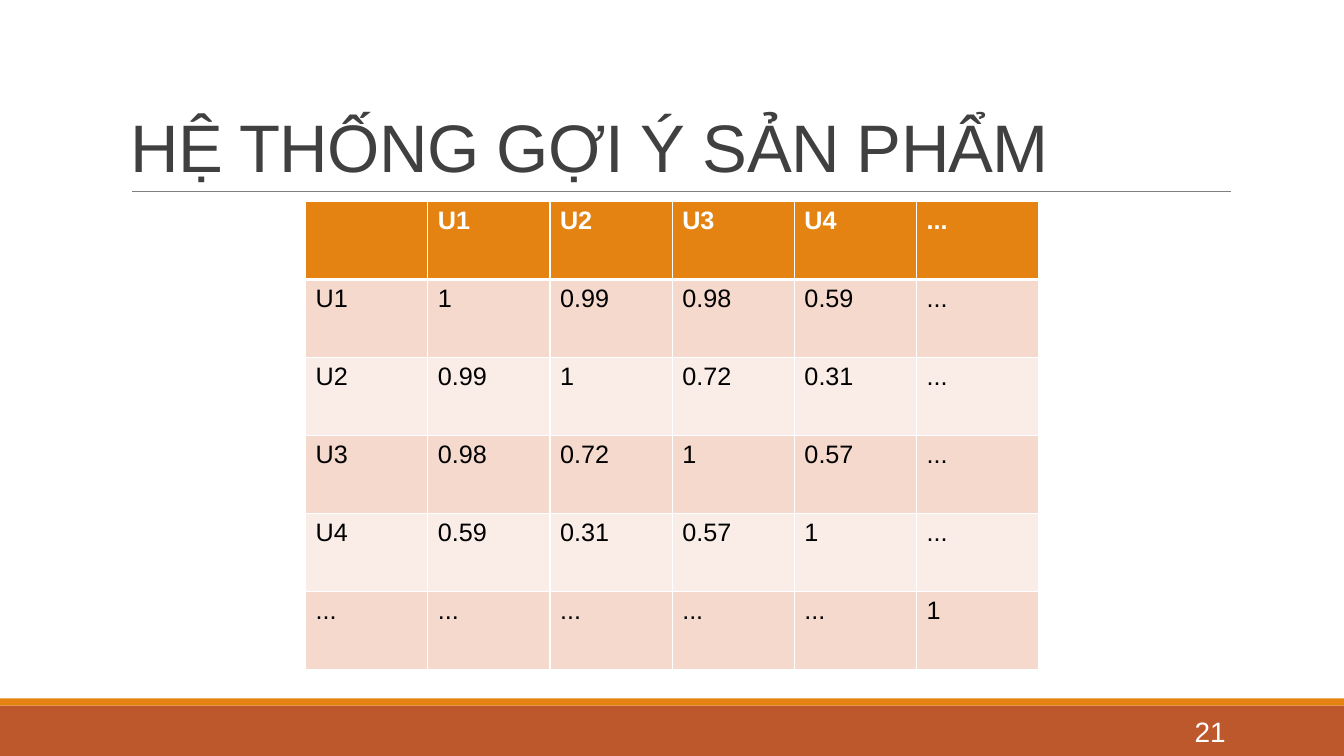
from lxml import etree
from pptx import Presentation
from pptx.dml.color import RGBColor
from pptx.enum.shapes import MSO_CONNECTOR, MSO_SHAPE
from pptx.enum.text import MSO_ANCHOR, PP_ALIGN
from pptx.oxml.ns import qn
from pptx.util import Cm, Pt

RECT = MSO_SHAPE.RECTANGLE
STRAIGHT = MSO_CONNECTOR.STRAIGHT
BOTTOM, MIDDLE = MSO_ANCHOR.BOTTOM, MSO_ANCHOR.MIDDLE
LEFT, RIGHT = PP_ALIGN.LEFT, PP_ALIGN.RIGHT

COLORS = {
    "rust": "BD582C",
    "orange": "E48312",
    "rule": "808080",
    "title": "404040",
    "white": "FFFFFF",
    "black": "000000",
    "dark_band": "F5D9CC",
    "light_band": "FAEDE7",
}

USERS = ["U1", "U2", "U3", "U4", "..."]
SIMILARITY = [
    ["1", "0.99", "0.98", "0.59", "..."],
    ["0.99", "1", "0.72", "0.31", "..."],
    ["0.98", "0.72", "1", "0.57", "..."],
    ["0.59", "0.31", "0.57", "1", "..."],
    ["...", "...", "...", "...", "1"],
]


class SlideBuilder:
    """Draws styled elements on the current slide."""

    font = "Arial"

    def __init__(self, slide):
        self.s = slide

    def color(self, name):
        return RGBColor.from_string(COLORS[name])

    def style(self, p, size, color, bold=False):
        p.font.name = self.font
        p.font.size = Pt(size)
        p.font.bold = bold
        p.font.color.rgb = self.color(color)

    def bar(self, x, y, w, h, color):
        sp = self.s.shapes.add_shape(RECT, Cm(x), Cm(y), Cm(w), Cm(h))
        sp.shadow.inherit = False
        sp.fill.solid()
        sp.fill.fore_color.rgb = self.color(color)
        sp.line.fill.background()

    def rule(self, x1, x2, y, color, width):
        sp = self.s.shapes.add_connector(STRAIGHT, Cm(x1), Cm(y), Cm(x2), Cm(y))
        sp.line.color.rgb = self.color(color)
        sp.line.width = Pt(width)
        etree.SubElement(sp._element.spPr, qn("a:effectLst"))

    def text(self, x, y, w, h, text, size, color, anchor, align=LEFT, spacing=1.0, tracking=0):
        tf = self.s.shapes.add_textbox(Cm(x), Cm(y), Cm(w), Cm(h)).text_frame
        tf.word_wrap = True
        tf.vertical_anchor = anchor
        p = tf.paragraphs[0]
        p.alignment = align
        p.line_spacing = spacing
        r = p.add_run()
        r.text = text
        self.style(p, size, color)
        if tracking:
            r._r.get_or_add_rPr().set("spc", str(round(tracking * 100)))

    def borders(self, cell, bottom):
        tcPr = cell._tc.get_or_add_tcPr()
        for i, (side, width) in enumerate((("L", 1), ("R", 1), ("T", 1), ("B", bottom))):
            ln = etree.Element(qn(f"a:ln{side}"), w=str(Pt(width)))
            fill = etree.SubElement(ln, qn("a:solidFill"))
            etree.SubElement(fill, qn("a:srgbClr"), val=COLORS["white"])
            tcPr.insert(i, ln)

    def table(self, x, y, w, h, rows):
        shape = self.s.shapes.add_table(len(rows), len(rows[0]), Cm(x), Cm(y), Cm(w), Cm(h))
        for i, row in enumerate(rows):
            header = i == 0
            band = "orange" if header else "dark_band" if i % 2 else "light_band"
            for j, value in enumerate(row):
                cell = shape.table.cell(i, j)
                cell.text = value
                cell.fill.solid()
                cell.fill.fore_color.rgb = self.color(band)
                self.style(cell.text_frame.paragraphs[0], 18, "white" if header else "black", header)
                self.borders(cell, 3 if header else 1)


def main():
    prs = Presentation()
    prs.slide_width, prs.slide_height = Cm(33.87), Cm(19.05)
    s = SlideBuilder(prs.slides.add_slide(prs.slide_layouts[6]))
    s.bar(0, 17.78, 33.87, 1.27, "rust")
    s.bar(0, 17.6, 33.87, 0.18, "orange")
    s.rule(3.33, 31.01, 4.83, "rule", 0.5)
    s.text(3.05, 0.79, 27.94, 4.04, "HỆ THỐNG GỢI Ý SẢN PHẨM", 48, "title", BOTTOM,
           spacing=0.85, tracking=-0.5)
    s.text(27.51, 17.93, 3.63, 1.02, "21", 20, "white", MIDDLE, RIGHT)
    rows = [["", *USERS]] + [[user, *values] for user, values in zip(USERS, SIMILARITY)]
    s.table(7.7, 5.08, 18.48, 11.79, rows)
    prs.save("out.pptx")


if __name__ == "__main__":
    main()
